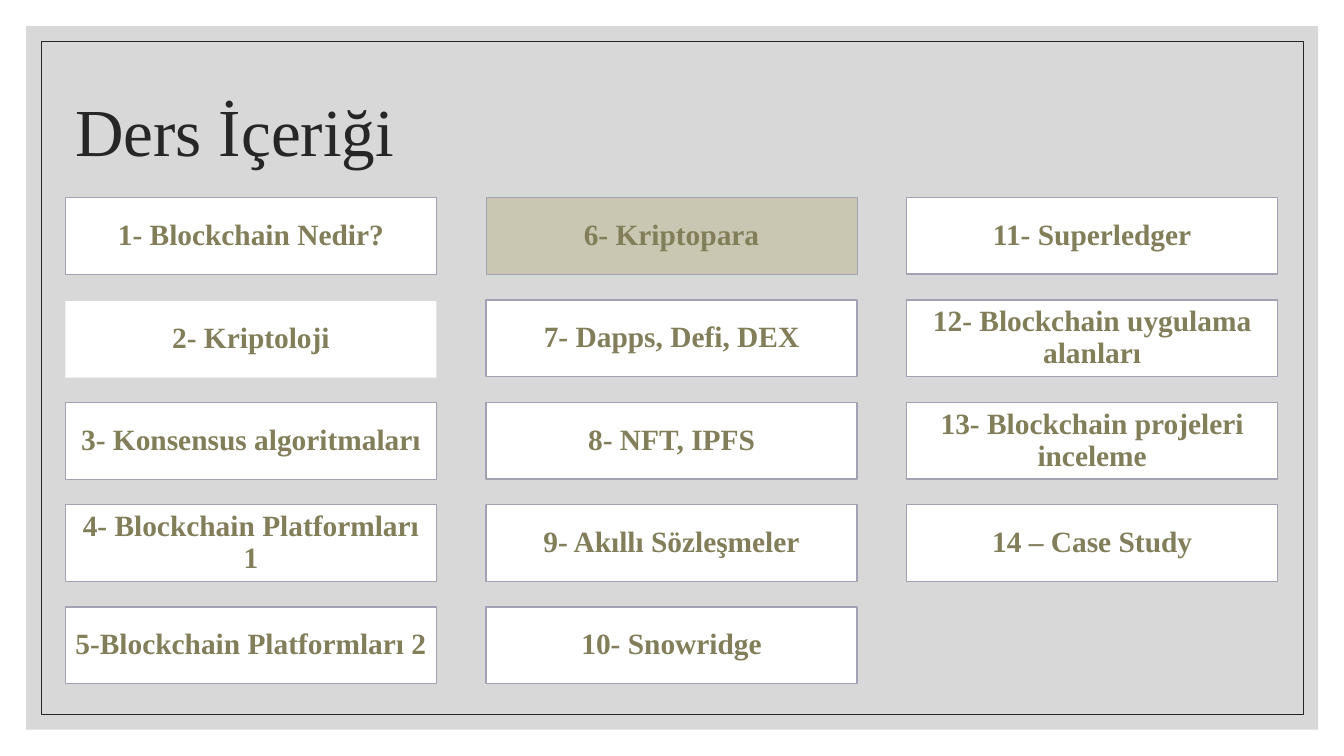
"""Build the course outline slide with a grid of topic boxes."""
from dataclasses import dataclass

from lxml.etree import SubElement
from pptx import Presentation
from pptx.dml.color import RGBColor
from pptx.enum.shapes import MSO_SHAPE
from pptx.enum.text import MSO_ANCHOR, PP_ALIGN
from pptx.oxml.ns import qn
from pptx.shapes.autoshape import Shape
from pptx.slide import Slide
from pptx.util import Cm, Pt

COLORS = {
    "panel": "BFBFBF",
    "ink": "262626",
    "white": "FFFFFF",
    "edge": "A2A2B5",
    "olive": "817E59",
    "sand": "C9C7B1",
}
FONT = "Times New Roman"
ROWS = 5
LEFT, TOP = 1.65, 4.98
WIDTH, HEIGHT = 9.35, 1.93
STEP_X, STEP_Y = 10.6, 2.58
INSETS = {
    "margin_left": Cm(0.2),
    "margin_right": Cm(0.2),
    "margin_top": Cm(0.23),
    "margin_bottom": Cm(0.23),
}


@dataclass
class Topic:
    text: str
    fill: str = "white"
    edge: float = 1
    drop: float = 0


TOPICS = [
    Topic("1- Blockchain Nedir?", edge=0.5),
    Topic("2- Kriptoloji", edge=0, drop=0.03),
    Topic("3- Konsensus algoritmaları", edge=0.5),
    Topic("4- Blockchain Platformları 1"),
    Topic("5-Blockchain Platformları 2"),
    Topic("6- Kriptopara", fill="sand", edge=0.5),
    Topic("7- Dapps, Defi, DEX"),
    Topic("8- NFT, IPFS"),
    Topic("9- Akıllı Sözleşmeler"),
    Topic("10- Snowridge"),
    Topic("11- Superledger"),
    Topic("12- Blockchain uygulama alanları"),
    Topic("13- Blockchain projeleri inceleme"),
    Topic("14 – Case Study"),
]


def color(name: str) -> RGBColor:
    return RGBColor.from_string(COLORS[name])


def add_box(slide: Slide, left: float, top: float, width: float, height: float,
            fill: str = "", line: str = "", weight: float = 0) -> Shape:
    box = slide.shapes.add_shape(
        MSO_SHAPE.RECTANGLE, Cm(left), Cm(top), Cm(width), Cm(height))
    box.shadow.inherit = False
    if fill:
        box.fill.solid()
        box.fill.fore_color.rgb = color(fill)
    else:
        box.fill.background()
    if weight:
        box.line.color.rgb = color(line)
        box.line.width = Pt(weight)
    else:
        box.line.fill.background()
    return box


def set_text(shape: Shape, text: str, ink: str, size: float, bold: bool,
             align: PP_ALIGN) -> None:
    frame = shape.text_frame
    frame.word_wrap = True
    frame.vertical_anchor = MSO_ANCHOR.MIDDLE
    para = frame.paragraphs[0]
    para.alignment = align
    para.line_spacing = 0.9
    run = para.add_run()
    run.text = text
    style = {"name": FONT, "size": Pt(size), "bold": bold}
    for key, value in style.items():
        setattr(run.font, key, value)
    run.font.color.rgb = color(ink)


def add_topic(slide: Slide, index: int, topic: Topic) -> None:
    col, row = divmod(index, ROWS)
    box = add_box(slide, LEFT + col * STEP_X, TOP + row * STEP_Y + topic.drop,
                  WIDTH, HEIGHT, topic.fill, "edge", topic.edge)
    for key, value in INSETS.items():
        setattr(box.text_frame, key, value)
    set_text(box, topic.text, "olive", 21, True, PP_ALIGN.CENTER)


def main() -> None:
    deck = Presentation()
    deck.slide_width, deck.slide_height = Cm(33.87), Cm(19.05)
    slide = deck.slides.add_slide(deck.slide_layouts[6])

    panel = add_box(slide, 0.66, 0.66, 32.56, 17.73, fill="panel")
    tint = panel.fill._xPr.find(".//" + qn("a:srgbClr"))
    SubElement(tint, qn("a:alpha"), val="60000")
    add_box(slide, 1.04, 1.04, 31.8, 16.97, line="ink", weight=0.5)

    title = slide.shapes.add_textbox(Cm(LEFT), Cm(1.5), Cm(27.94), Cm(3.81))
    set_text(title, "Ders İçeriği", "ink", 48, False, PP_ALIGN.LEFT)
    for index, topic in enumerate(TOPICS):
        add_topic(slide, index, topic)
    deck.save("out.pptx")


if __name__ == "__main__":
    main()
